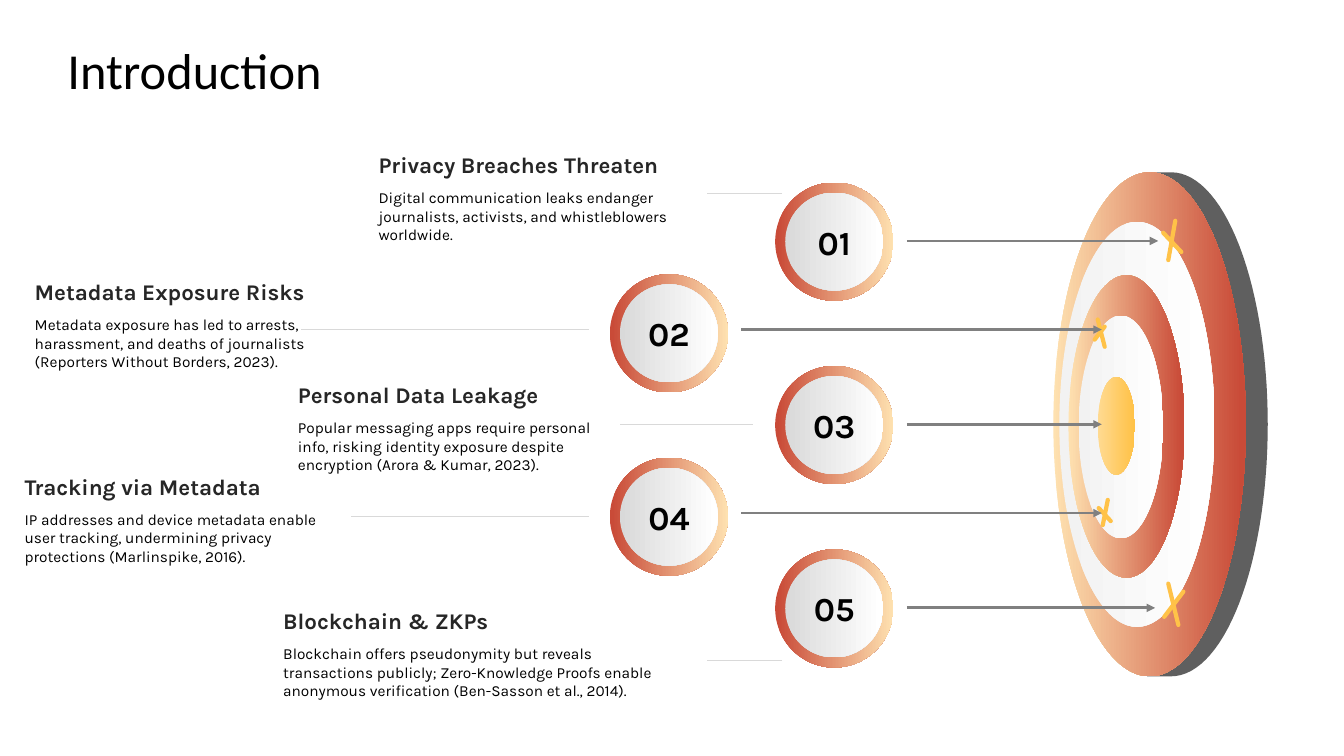
from dataclasses import dataclass
from math import cos, radians, sin

from lxml import etree
from pptx import Presentation
from pptx.dml.color import RGBColor
from pptx.enum.shapes import MSO_CONNECTOR, MSO_SHAPE
from pptx.enum.text import MSO_ANCHOR, PP_ALIGN
from pptx.oxml.ns import qn
from pptx.util import Pt

LINE = MSO_CONNECTOR.STRAIGHT
OVAL = MSO_SHAPE.OVAL
TOP, MIDDLE = MSO_ANCHOR.TOP, MSO_ANCHOR.MIDDLE
LEFT, CENTER = PP_ALIGN.LEFT, PP_ALIGN.CENTER


@dataclass(frozen=True)
class Theme:
    ink: str = "000000"
    head: str = "262626"
    red: str = "C94B38"
    cream: str = "FEE1B0"
    white: str = "FFFFFF"
    pale: str = "F2F2F2"
    silver: str = "D9D9D9"
    gold: str = "FFC248"
    sand: str = "FFDA91"
    edge: str = "5F5F5F"
    arrow: str = "808080"
    title_font: str = "Calibri"
    font: str = "Karla"
    title_size: int = 36
    badge_size: int = 24
    head_size: int = 16
    body_size: int = 11


class Canvas:
    def __init__(self, slide, theme):
        self.shapes = slide.shapes
        self.theme = theme

    def letter(self, shape, text, size, color, bold=False, align=LEFT,
               anchor=TOP, font=None):
        frame = shape.text_frame
        frame.word_wrap = True
        frame.vertical_anchor = anchor
        frame.margin_left = frame.margin_right = 0
        frame.margin_top = frame.margin_bottom = 0
        para = frame.paragraphs[0]
        para.text = text
        para.alignment = align
        para.font.name = font or self.theme.font
        para.font.size = Pt(size)
        para.font.bold = bold
        para.font.color.rgb = RGBColor.from_string(color)

    def label(self, x, y, w, h, text, size, color, **style):
        box = self.shapes.add_textbox(Pt(x), Pt(y), Pt(w), Pt(h))
        self.letter(box, text, size, color, **style)

    def oval(self, x, y, w, h, *stops):
        shape = self.shapes.add_shape(OVAL, Pt(x), Pt(y), Pt(w), Pt(h))
        shape.shadow.inherit = False
        shape.line.fill.background()
        shape.fill.gradient()
        shape.fill.gradient_angle = 0
        for stop, (spot, color) in zip(shape.fill.gradient_stops, stops):
            stop.position = spot
            stop.color.rgb = RGBColor.from_string(color)
        return shape

    def ring(self, x, y, w, h, left, right):
        self.oval(x, y, w, h, (0, left), (0.98, right))

    def badge(self, x, y, text):
        theme = self.theme
        self.oval(x, y, 84.4, 84.4, (0.02, theme.red), (1, theme.cream))
        face = self.oval(x + 7.2, y + 7.2, 70, 70,
                         (0, theme.silver), (0.98, theme.white))
        self.letter(face, text, theme.badge_size, theme.ink, bold=True,
                    align=CENTER, anchor=MIDDLE)

    def line(self, x1, y1, x2, y2, color, width, cap="flat", arrow=False):
        line = self.shapes.add_connector(LINE, Pt(x1), Pt(y1), Pt(x2), Pt(y2))
        line.line.color.rgb = RGBColor.from_string(color)
        line.line.width = Pt(width)
        props = line.element.spPr
        stroke = props.find(qn("a:ln"))
        stroke.set("cap", cap)
        if arrow:
            etree.SubElement(stroke, qn("a:tailEnd"), type="triangle")
        etree.SubElement(props, qn("a:effectLst"))

    def outline(self, points, color):
        form = self.shapes.build_freeform(Pt(points[0][0]), Pt(points[0][1]))
        form.add_line_segments([(Pt(x), Pt(y)) for x, y in points[1:]])
        shape = form.convert_to_shape()
        shape.shadow.inherit = False
        shape.fill.solid()
        shape.fill.fore_color.rgb = RGBColor.from_string(color)
        shape.line.fill.background()

    def topic(self, x, y, w, head, body):
        theme = self.theme
        self.label(x, y, w, 22.3, head, theme.head_size, theme.head,
                   bold=True, anchor=MIDDLE)
        self.label(x, y + 28.1, w, 36.7, body, theme.body_size, theme.ink)


def arc(start, end):
    return [(836.6 + 69 * cos(radians(a)), 303.1 + 180 * sin(radians(a)))
            for a in range(start, end + 1, 3)]


TOPICS = [
    (270.4, 106.6, 215.3, "Privacy Breaches Threaten",
     "Digital communication leaks endanger journalists, activists, and "
     "whistleblowers worldwide."),
    (24.8, 197.3, 212.4, "Metadata Exposure Risks",
     "Metadata exposure has led to arrests, harassment, and deaths of "
     "journalists (Reporters Without Borders, 2023)."),
    (212.8, 270.7, 211, "Personal Data Leakage",
     "Popular messaging apps require personal info, risking identity "
     "exposure despite encryption (Arora & Kumar, 2023)."),
    (17.6, 336.2, 211, "Tracking via Metadata",
     "IP addresses and device metadata enable user tracking, undermining "
     "privacy protections (Marlinspike, 2016)."),
    (202.3, 432, 283.3, "Blockchain & ZKPs",
     "Blockchain offers pseudonymity but reveals transactions publicly; "
     "Zero-Knowledge Proofs enable anonymous verification "
     "(Ben-Sasson et al., 2014)."),
]
ARROWS = [(172.1, 827.3), (235.4, 787), (303.1, 787), (366.5, 787),
          (434.2, 825.1)]
LEADERS = [(504.7, 558.7, 138.2), (215.3, 420.5, 235.4),
           (442.8, 537.8, 303.1), (250.6, 420.5, 368.6),
           (504.7, 558.7, 471.6)]
MARKS = [
    (789.1, 233.3, 781.9, 242.6), (784.1, 228.2, 789.1, 247.7),
    (839.5, 157.7, 834.5, 185.8), (830.9, 166.3, 843.8, 180),
    (791.3, 357.1, 787.7, 375.1), (784.8, 362.9, 793.4, 372.2),
    (834.5, 416.9, 841.7, 446.4), (845.3, 422.6, 831.6, 440.6),
]


def main():
    deck = Presentation()
    deck.slide_width, deck.slide_height = Pt(960), Pt(540)
    theme = Theme()
    page = Canvas(deck.slides.add_slide(deck.slide_layouts[6]), theme)

    page.label(48.2, 21.6, 864, 56.2, "Introduction", theme.title_size,
               theme.ink, anchor=MIDDLE, font=theme.title_font)

    page.outline(arc(-90, 90) + [(819.4, 483.1)] + arc(105, 255)
                 + [(819.4, 123.1)], theme.edge)
    page.ring(752.4, 123.1, 137.5, 360, theme.cream, theme.red)
    page.ring(756.7, 158.4, 110.9, 289.4, theme.pale, theme.white)
    page.ring(763.2, 196.6, 82.8, 216, theme.cream, theme.red)
    page.ring(770.4, 225.4, 60.5, 159.1, theme.pale, theme.white)
    page.ring(784.1, 269.3, 26.6, 69.8, theme.sand, theme.gold)
    for mark in MARKS:
        page.line(*mark, theme.gold, 3, cap="rnd")

    for i, (topic, arrow, leader) in enumerate(zip(TOPICS, ARROWS, LEADERS)):
        left = 435.6 if i % 2 else 553.7
        page.badge(left, 130.4 + 65.5 * i, f"{i + 1:02}")
        level, tip = arrow
        page.line(left + 94, level, tip, level, theme.arrow, 2, arrow=True)
        page.topic(*topic)
        start, end, height = leader
        page.line(end, height, start, height, theme.silver, 0.75)

    deck.save("out.pptx")


if __name__ == "__main__":
    main()
